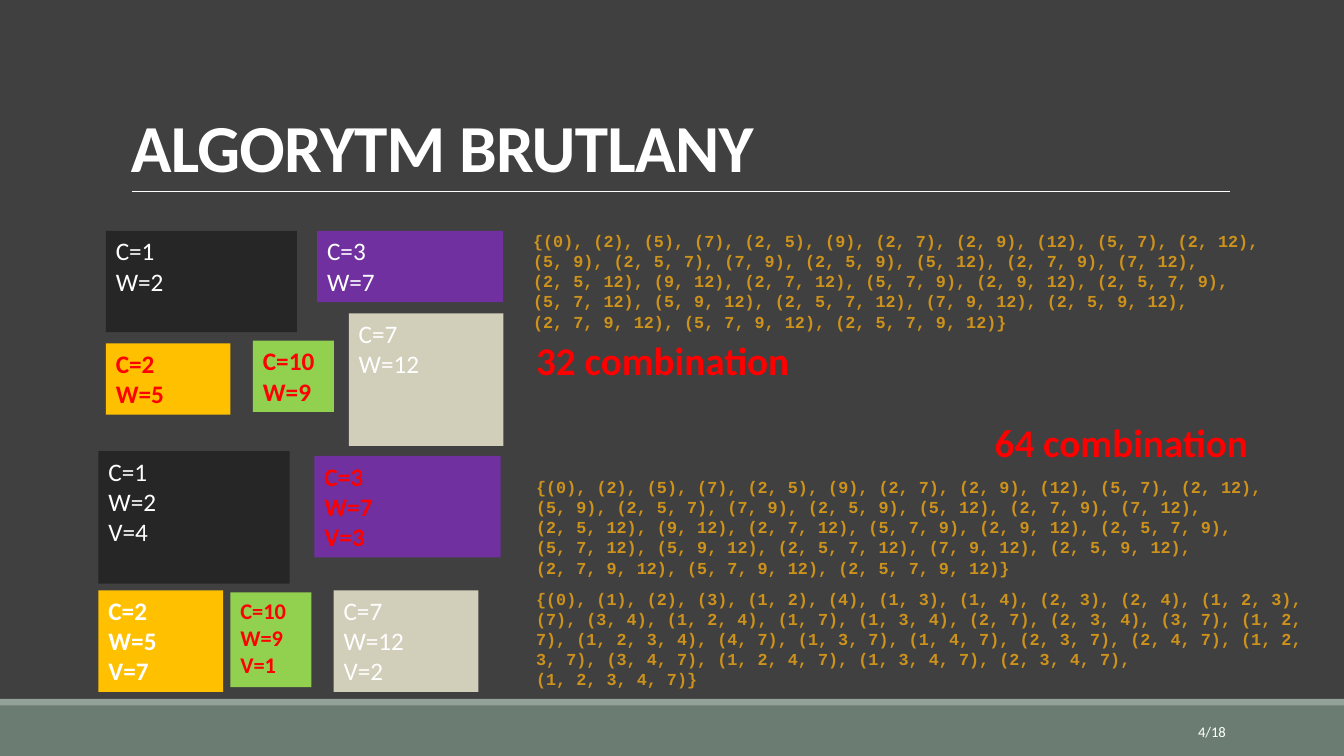
from dataclasses import dataclass

from lxml import etree
from pptx import Presentation
from pptx import util as u
from pptx.dml.color import RGBColor
from pptx.enum import shapes, text
from pptx.oxml.ns import qn

# Grid: 40 columns by 22.5 rows of square cells
COLUMNS, ROWS = 40, 22.5
CELL = u.Inches(13.333) / COLUMNS

BACKDROP = RGBColor(0x40, 0x40, 0x40)
FOOTER = RGBColor(0x6B, 0x7D, 0x72)
FOOTER_EDGE = RGBColor(0x93, 0xA2, 0x99)
WHITE = RGBColor(0xFF, 0xFF, 0xFF)
RED = RGBColor(0xFF, 0x00, 0x00)
OCHRE = RGBColor(0xCD, 0x92, 0x1B)
SAND = RGBColor(0xD1, 0xCE, 0xB9)
GREEN = RGBColor(0x92, 0xD0, 0x50)
PURPLE = RGBColor(0x70, 0x30, 0xA0)
AMBER = RGBColor(0xFF, 0xC0, 0x00)
BLACK = RGBColor(0x26, 0x26, 0x26)


@dataclass(frozen=True)
class Area:
    column: float
    row: float
    columns: float
    rows: float

    def emu(self) -> list[int]:
        return [cells(n) for n in (self.column, self.row, self.columns, self.rows)]


@dataclass(frozen=True)
class Style:
    size: float
    color: RGBColor
    bold: bool = False
    font: str = "Calibri"


@dataclass(frozen=True)
class Item:
    area: Area
    fill: RGBColor
    labels: tuple[str, ...]
    style: Style


@dataclass(frozen=True)
class Caption:
    area: Area
    wording: str
    style: Style
    anchor: text.MSO_ANCHOR = text.MSO_ANCHOR.TOP
    align: text.PP_ALIGN = text.PP_ALIGN.LEFT


def cells(count: float) -> int:
    return round(count * CELL)


def add_run(paragraph, wording: str, style: Style):
    run = paragraph.add_run()
    run.text = wording
    run.font.name = style.font
    run.font.size = u.Pt(style.size)
    run.font.bold = style.bold
    run.font.color.rgb = style.color
    return run


def draw_block(slide, area: Area, fill: RGBColor):
    block = slide.shapes.add_shape(shapes.MSO_SHAPE.RECTANGLE, *area.emu())
    block.shadow.inherit = False
    block.fill.solid()
    block.fill.fore_color.rgb = fill
    block.line.fill.background()
    return block


def draw_item(slide, item: Item) -> None:
    frame = draw_block(slide, item.area, item.fill).text_frame
    frame.word_wrap = True
    frame.vertical_anchor = text.MSO_ANCHOR.TOP
    for index, label in enumerate(item.labels):
        paragraph = frame.add_paragraph() if index else frame.paragraphs[0]
        paragraph.alignment = text.PP_ALIGN.LEFT
        add_run(paragraph, label, item.style)


def draw_caption(slide, caption: Caption):
    frame = slide.shapes.add_textbox(*caption.area.emu()).text_frame
    frame.word_wrap = True
    frame.vertical_anchor = caption.anchor
    paragraph = frame.paragraphs[0]
    paragraph.alignment = caption.align
    for index, line in enumerate(caption.wording.split("\n")):
        if index:
            paragraph.add_line_break()
        add_run(paragraph, line, caption.style)
    return paragraph


PLAIN = Style(18, WHITE)
BOLD_WHITE = Style(18, WHITE, True)
BOLD_RED = Style(18, RED, True)
SMALL_RED = Style(16, RED, True)
COUNT = Style(28, RED, True)
CODE = Style(12, OCHRE, True, "Courier New")

ITEMS = (
    # Cost and weight
    Item(Area(10.38, 9.33, 4.6, 3.94), SAND, ("C=7", "W=12"), PLAIN),
    Item(Area(7.53, 10.14, 2.41, 2.12), GREEN, ("C=10", "W=9"), BOLD_RED),
    Item(Area(9.44, 6.87, 5.54, 2.12), PURPLE, ("C=3", "W=7"), PLAIN),
    Item(Area(3.15, 10.22, 3.71, 2.12), AMBER, ("C=2", "W=5"), BOLD_RED),
    Item(Area(3.15, 6.87, 5.69, 3.02), BLACK, ("C=1", "W=2"), PLAIN),
    # Cost, weight and volume
    Item(Area(9.93, 17.57, 4.31, 3.02), SAND, ("C=7", "W=12", "V=2"), PLAIN),
    Item(Area(6.86, 17.63, 2.41, 2.82), GREEN, ("C=10", "W=9", "V=1"), SMALL_RED),
    Item(Area(9.36, 13.57, 5.54, 3.02), PURPLE, ("C=3", "W=7", "V=3"), BOLD_RED),
    Item(Area(2.93, 17.57, 3.71, 3.02), AMBER, ("C=2", "W=5", "V=7"), BOLD_WHITE),
    Item(Area(2.93, 13.43, 5.69, 3.94), BLACK, ("C=1", "W=2", "V=4"), PLAIN),
)

WEIGHT_SETS = """{(0), (2), (5), (7), (2, 5), (9), (2, 7), (2, 9), (12), (5, 7), (2, 12), 
(5, 9), (2, 5, 7), (7, 9), (2, 5, 9), (5, 12), (2, 7, 9), (7, 12), 
(2, 5, 12), (9, 12), (2, 7, 12), (5, 7, 9), (2, 9, 12), (2, 5, 7, 9), 
(5, 7, 12), (5, 9, 12), (2, 5, 7, 12), (7, 9, 12), (2, 5, 9, 12), 
(2, 7, 9, 12), (5, 7, 9, 12), (2, 5, 7, 9, 12)}"""
VOLUME_SETS = (
    "{(0), (1), (2), (3), (1, 2), (4), (1, 3), (1, 4), (2, 3), (2, 4), (1, 2, 3), "
    "(7), (3, 4), (1, 2, 4), (1, 7), (1, 3, 4), (2, 7), (2, 3, 4), (3, 7), (1, 2, 7), "
    "(1, 2, 3, 4), (4, 7), (1, 3, 7), (1, 4, 7), (2, 3, 7), (2, 4, 7), (1, 2, 3, 7), "
    "(3, 4, 7), (1, 2, 4, 7), (1, 3, 4, 7), (2, 3, 4, 7), \n(1, 2, 3, 4, 7)}"
)

CAPTIONS = (
    Caption(Area(15.66, 17.37, 23.49, 3.33), VOLUME_SETS, CODE),
    Caption(Area(15.66, 14.04, 24.03, 3.33), WEIGHT_SETS, CODE),
    Caption(Area(15.66, 9.87, 9.84, 1.71), "32 combination", COUNT),
    Caption(Area(29.31, 12.3, 9.84, 1.71), "64 combination", COUNT),
    Caption(Area(15.57, 6.72, 24.03, 3.33), WEIGHT_SETS, CODE),
    Caption(Area(32.49, 21.18, 4.29, 1.2), "4/18", Style(10.5, WHITE),
            text.MSO_ANCHOR.MIDDLE, text.PP_ALIGN.RIGHT),
)
TITLE = Caption(Area(3.6, 0.94, 33, 4.76), "ALGORYTM BRUTLANY",
                Style(48, WHITE, True), text.MSO_ANCHOR.BOTTOM)


def main() -> None:
    deck = Presentation()
    deck.slide_width, deck.slide_height = cells(COLUMNS), cells(ROWS)
    slide = deck.slides.add_slide(deck.slide_layouts[6])
    slide.background.fill.solid()
    slide.background.fill.fore_color.rgb = BACKDROP

    # Footer bands
    draw_block(slide, Area(0, 21, COLUMNS, 1.5), FOOTER)
    draw_block(slide, Area(0, 20.8, COLUMNS, 0.2), FOOTER_EDGE)

    # Title and the rule below it
    rule = slide.shapes.add_connector(
        shapes.MSO_CONNECTOR.STRAIGHT, *map(cells, (3.94, 5.7, 36.62, 5.7)))
    rule.line.color.rgb = WHITE
    rule.line.width = u.Pt(0.5)
    etree.SubElement(rule._element.spPr, qn("a:effectLst"))
    heading = draw_caption(slide, TITLE)
    heading.line_spacing = 0.85
    heading.runs[0]._r.get_or_add_rPr().set("spc", "-50")

    # Knapsack items, then the sets and their counts
    for item in ITEMS:
        draw_item(slide, item)
    for caption in CAPTIONS:
        draw_caption(slide, caption)

    deck.save("out.pptx")


if __name__ == "__main__":
    main()
